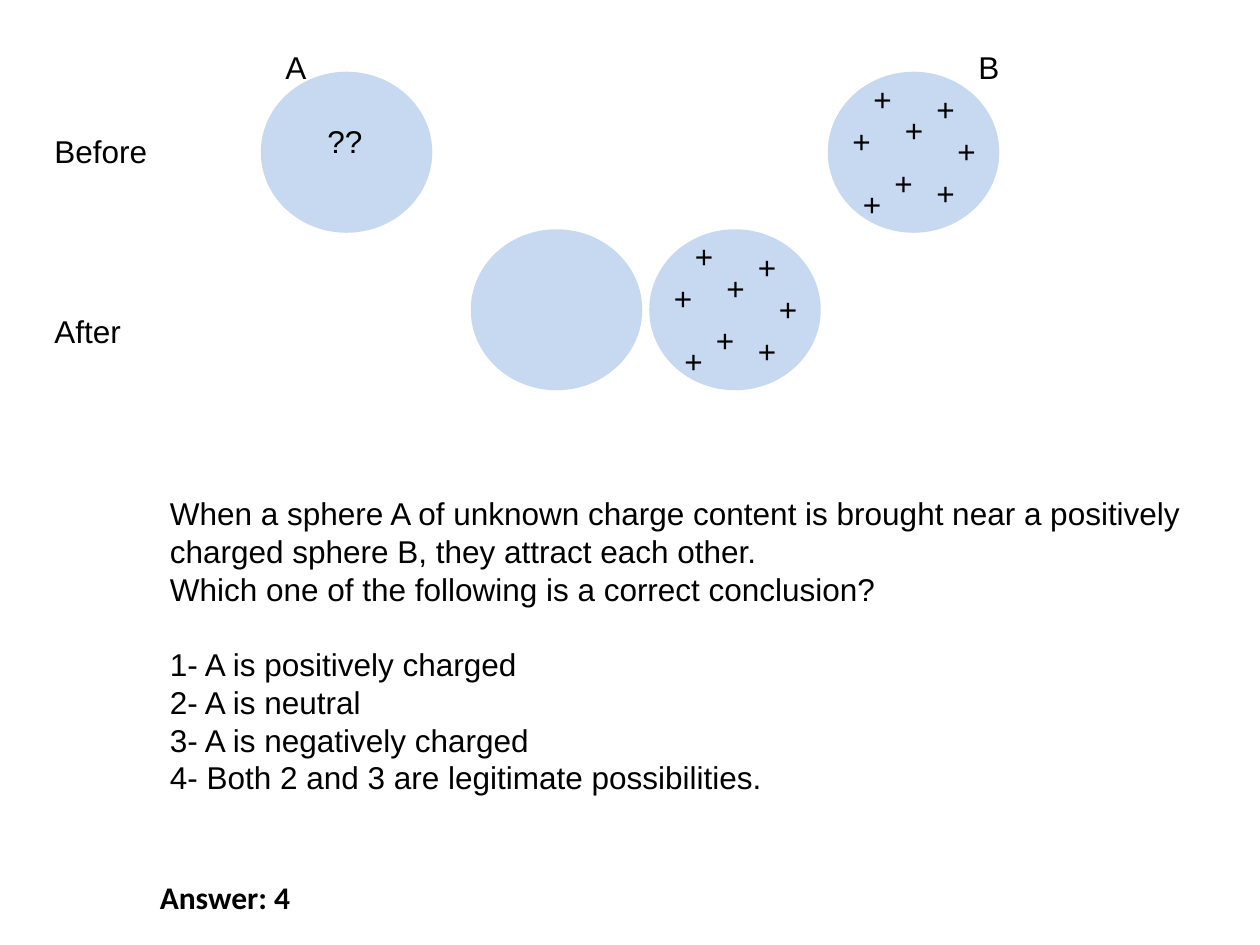
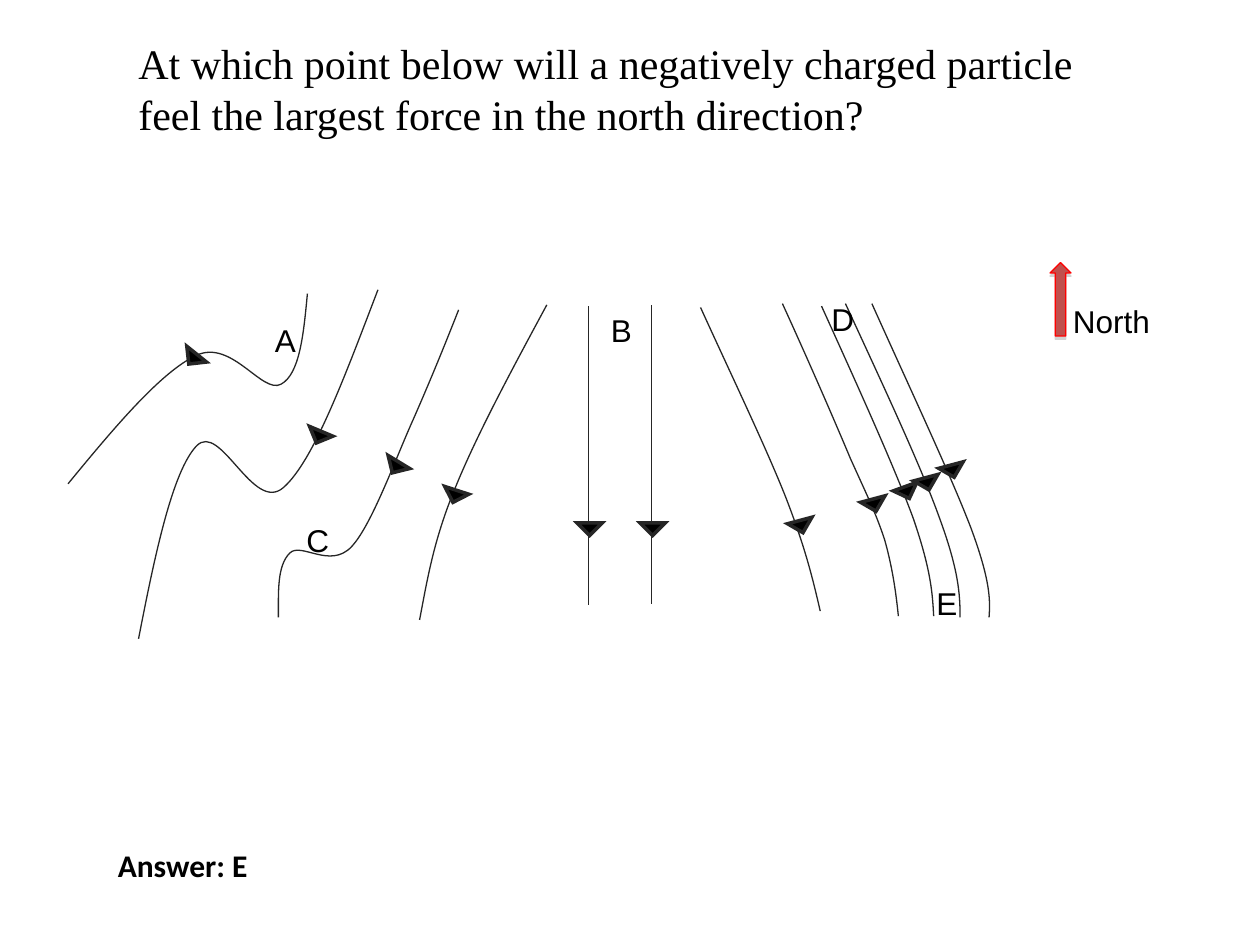
"""Build two physics quiz slides: charged spheres and electric field lines."""
from dataclasses import dataclass

from pptx import Presentation
from pptx import util as u
from pptx.dml.color import RGBColor
from pptx.enum import shapes, text
from pptx.oxml.xmlchemy import OxmlElement


@dataclass(frozen=True)
class Theme:
    """Colours, fonts and sizes shared by both slides."""
    ink: str = "000000"
    trace: str = "262626"
    sphere: str = "C6D9F1"
    north: str = "C0504D"
    north_edge: str = "FF0000"
    shadow: str = "808080"
    body_font: str = "Arial"
    title_font: str = "Times New Roman"
    answer_font: str = "Calibri"
    body_size: int = 18
    title_size: int = 24
    thin: float = 0.75
    thick: float = 2


THEME = Theme()
COLUMNS, ROWS = 120, 90
CELL = u.Inches(10) // COLUMNS
LINE_ROWS = 4.8
CHARGES = [(1, 4), (6, 3), (5, 8), (11, 5), (9, 1), (9, 9), (3, 0), (2, 10)]

QUESTION = [
    "When a sphere A of unknown charge content is brought near a positively "
    "charged sphere B, they attract each other.",
    "Which one of the following is a correct conclusion?",
]
CHOICES = [
    "1- A is positively charged",
    "2- A is neutral",
    "3- A is negatively charged",
    "4- Both 2 and 3 are legitimate possibilities.",
]

FIELD_CURVES = [
    [(1.1, 5.07), (1.23, 4.4), (1.37, 3.74), (1.56, 3.54), (1.75, 3.34),
     (2.01, 4.08), (2.25, 3.87), (2.49, 3.66), (2.74, 2.98), (3, 2.3)],
    [(2.21, 4.9), (2.21, 4.69), (2.2, 4.49), (2.3, 4.39), (2.39, 4.3),
     (2.62, 4.52), (2.79, 4.34), (2.95, 4.17), (3.14, 3.64), (3.28, 3.33),
     (3.42, 3.01), (3.53, 2.74), (3.64, 2.46)],
    [(3.33, 4.92), (3.39, 4.61), (3.44, 4.29), (3.61, 3.88), (3.78, 3.46),
     (4.06, 2.94), (4.34, 2.42)],
    [(5.56, 2.44), (5.81, 2.99), (6.07, 3.53), (6.23, 3.93), (6.39, 4.34),
     (6.45, 4.59), (6.51, 4.85)],
    [(6.21, 2.41), (6.42, 2.87), (6.62, 3.33), (6.75, 3.64), (6.89, 3.95),
     (6.95, 4.07), (7.02, 4.28), (7.08, 4.49), (7.11, 4.69), (7.13, 4.89)],
    [(6.52, 2.43), (6.81, 3.07), (7.1, 3.71), (7.25, 4.12), (7.39, 4.53),
     (7.4, 4.71), (7.41, 4.89)],
    [(6.71, 2.41), (7.01, 3.06), (7.31, 3.7), (7.46, 4.12), (7.61, 4.53),
     (7.62, 4.72), (7.62, 4.9)],
    [(0.54, 3.84), (0.91, 3.39), (1.28, 2.95), (1.56, 2.82), (1.84, 2.69),
     (2.08, 3.13), (2.23, 3.05), (2.38, 2.97), (2.41, 2.65), (2.44, 2.33)],
    [(6.92, 2.41), (7.23, 3.1), (7.55, 3.78), (7.71, 4.2), (7.86, 4.61),
     (7.86, 4.76), (7.85, 4.9)],
]
STRAIGHT_LINES = [(4.67, 4.8, 2.43), (5.17, 4.79, 2.42)]
FIELD_HEADS = [
    (1.43, 2.8, 38.6), (2.43, 3.42, 22.7), (3.04, 3.66, 31.3),
    (3.51, 3.89, 17.9), (4.58, 4.15, 0), (5.08, 4.15, 0),
    (6.26, 4.13, 345.1), (6.84, 3.96, 345.1), (7.26, 3.79, 345.1),
    (7.46, 3.69, 345.1), (7.1, 3.86, 340),
]
POINT_LABELS = [("A", 25, 30), ("B", 57, 29), ("C", 28, 49), ("E", 88, 55), ("D", 78, 28)]


def cells(*counts):
    """Turn counts of grid cells into lengths."""
    return [u.Emu(round(count * CELL)) for count in counts]


def inches(*values):
    """Turn inches into lengths."""
    return [u.Inches(value) for value in values]


def color(code):
    """Give the colour for a hexadecimal code."""
    return RGBColor.from_string(code)


def element(tag, **attributes):
    """Make a drawing element with attributes."""
    node = OxmlElement(tag)
    for name, value in attributes.items():
        node.set(name, str(value))
    return node


def outline(shape, code, width):
    """Set the line of a shape or connector."""
    shape.line.color.rgb = color(code)
    shape.line.width = u.Pt(width)


def add_text(parent, lines, column, row, width, height=LINE_ROWS, font=THEME.body_font,
             size=THEME.body_size, bold=False, wrap=True):
    """Add a text box with one paragraph a line."""
    box = parent.shapes.add_textbox(*cells(column, row, width, height))
    frame = box.text_frame
    frame.text = "\n".join(lines)
    frame.word_wrap = wrap
    frame.auto_size = text.MSO_AUTO_SIZE.SHAPE_TO_FIT_TEXT
    for para in frame.paragraphs:
        for span in para.runs:
            span.font.name = font
            span.font.size = u.Pt(size)
            span.font.bold = bold
            span.font.color.rgb = color(THEME.ink)
    return box


def add_answer(slide, letter, column, row):
    """Add the bold answer line."""
    add_text(slide, [f"Answer: {letter}"], column, row, 14.88,
             font=THEME.answer_font, bold=True, wrap=False)


def add_solid(parent, kind, frame, fill, edge, width):
    """Add a filled preset shape without a shadow."""
    shape = parent.shapes.add_shape(kind, *frame)
    shape.shadow.inherit = False
    shape.fill.solid()
    shape.fill.fore_color.rgb = color(fill)
    outline(shape, edge, width)
    return shape


def add_sphere(slide, column, row, charges=()):
    """Add a sphere grouped with its positive charges."""
    group = slide.shapes.add_group_shape()
    add_solid(group, shapes.MSO_SHAPE.OVAL, cells(column, row, 16, 15),
              THEME.sphere, THEME.sphere, THEME.thick)
    for across, down in charges:
        add_text(group, ["+"], column + across, row + down, 5)


def bend(curve):
    """Turn each three line segments of a freeform into one cubic curve."""
    segments = list(curve._element.spPr.iterfind(".//{*}lnTo"))
    for first in range(0, len(segments), 3):
        cubic = element("a:cubicBezTo")
        segments[first].addprevious(cubic)
        for segment in segments[first:first + 3]:
            cubic.append(segment[0])
            segment.getparent().remove(segment)


def add_curve(parent, points):
    """Draw a chain of cubic curves whose points are in inches."""
    builder = parent.shapes.build_freeform(*inches(*points[0]))
    builder.add_line_segments([inches(*point) for point in points[1:]], close=False)
    curve = builder.convert_to_shape()
    bend(curve)
    curve.shadow.inherit = False
    curve.fill.background()
    outline(curve, THEME.trace, THEME.thin)


def add_straight(parent, x, bottom, top):
    """Draw a vertical field line placed in inches."""
    line = parent.shapes.add_connector(shapes.MSO_CONNECTOR.STRAIGHT,
                                       *inches(x, bottom, x, top))
    outline(line, THEME.trace, THEME.thin)
    line._element.spPr.append(element("a:effectLst"))


def add_head(parent, left, top, angle):
    """Add a sharp downward triangle, turned clockwise, placed in inches."""
    head = add_solid(parent, shapes.MSO_SHAPE.ISOSCELES_TRIANGLE,
                     inches(left, top, 0.2, 0.1), THEME.ink, THEME.trace, THEME.thick)
    head.rotation = angle
    head._element.spPr.get_or_add_xfrm().set("flipV", "1")
    head._element.spPr.find("{*}ln").append(element("a:miter", lim=800000))


def add_drop_shadow(shape):
    """Give a shape a short shadow straight below it."""
    shadow = element("a:outerShdw", dist=int(u.Pt(1.8)), dir=90 * 60000, rotWithShape=0)
    tint = element("a:srgbClr", val=THEME.shadow)
    tint.append(element("a:alpha", val=35000))
    shadow.append(tint)
    shape._element.spPr.find("{*}effectLst").append(shadow)


def add_compass(slide):
    """Add the arrow that marks north."""
    group = slide.shapes.add_group_shape()
    arrow = add_solid(group, shapes.MSO_SHAPE.UP_ARROW, cells(100, 25, 2, 7),
                      THEME.north, THEME.north_edge, THEME.thin)
    add_drop_shadow(arrow)
    add_text(group, ["North"], 101, 28.2, 13)


def build_spheres(slide):
    """Fill the slide on the attracting spheres."""
    question = add_text(slide, QUESTION + CHOICES, 15, 46.47, 103, 37.2)
    question.text_frame.paragraphs[len(QUESTION)].space_before = u.Pt(21.5)
    add_sphere(slide, 79, 7, CHARGES)
    add_sphere(slide, 25, 7)
    add_sphere(slide, 62, 22, CHARGES)
    add_sphere(slide, 45, 22)
    for label, column, row, width in (("A", 26, 4, 14), ("B", 92, 4, 14)):
        add_text(slide, [label], column, row, width)
    add_answer(slide, "4", 14.04, 83)
    for label, column, row, width in (("Before", 4, 12, 16), ("After", 4, 29.16, 16),
                                      ("??", 30, 11, 7)):
        add_text(slide, [label], column, row, width)


def build_field(slide):
    """Fill the slide on the field lines."""
    add_text(slide, ["At which point below will a negatively charged particle "
                     "feel the largest force in the north direction?"],
             12, 3, 97, 20.4, font=THEME.title_font, size=THEME.title_size)
    add_answer(slide, "E", 10.04, 80)
    field = slide.shapes.add_group_shape()
    for points in FIELD_CURVES[:3]:
        add_curve(field, points)
    for line in STRAIGHT_LINES:
        add_straight(field, *line)
    for points in FIELD_CURVES[3:]:
        add_curve(field, points)
    for head in FIELD_HEADS:
        add_head(field, *head)
    for label, column, row in POINT_LABELS:
        add_text(field, [label], column, row, 6)
    add_compass(slide)


def main():
    """Build and save the deck."""
    deck = Presentation()
    deck.slide_width, deck.slide_height = cells(COLUMNS, ROWS)
    for build in (build_spheres, build_field):
        build(deck.slides.add_slide(deck.slide_layouts[6]))
    deck.save("out.pptx")


if __name__ == "__main__":
    main()
